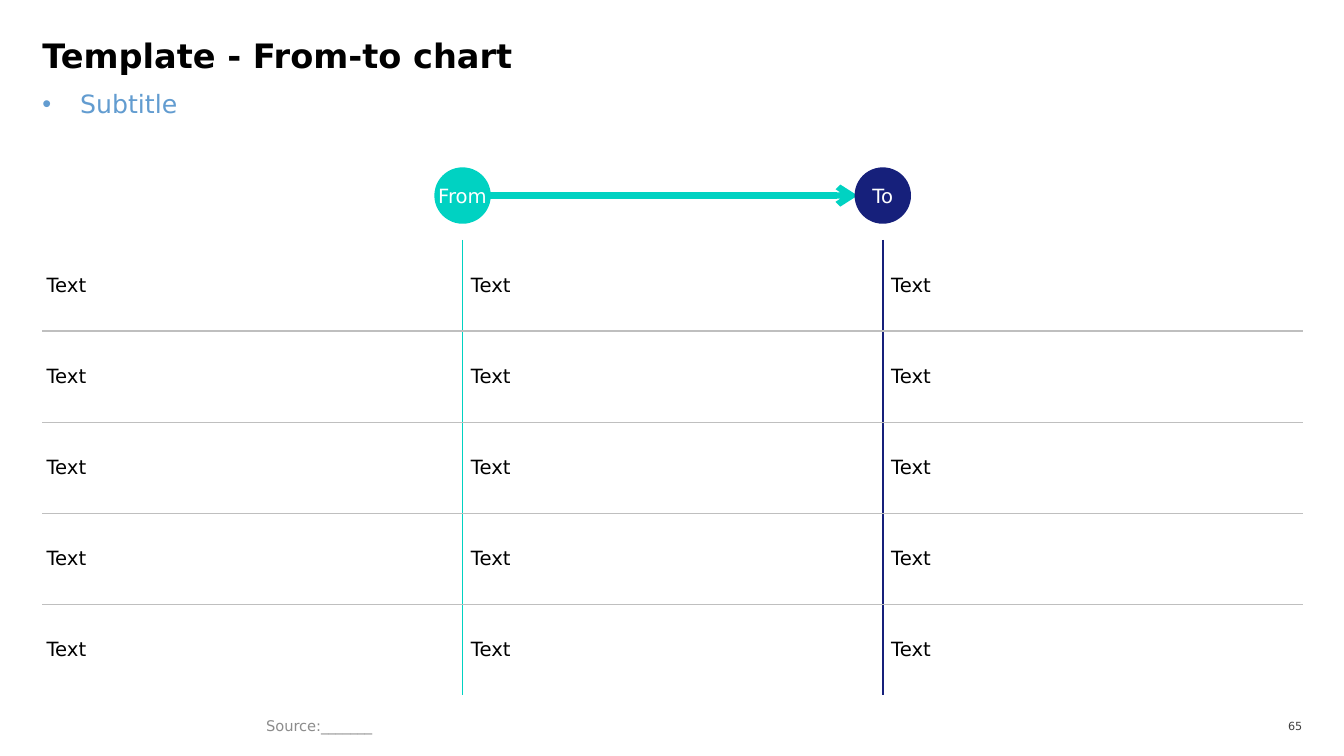
from lxml import etree
from pptx import Presentation
from pptx.dml.color import RGBColor
from pptx.enum import shapes, text
from pptx.oxml import ns
from pptx.util import Pt

FONT = "DejaVu Sans"
BLACK = RGBColor(0x00, 0x00, 0x00)
WHITE = RGBColor(0xFF, 0xFF, 0xFF)
TEAL = RGBColor(0x00, 0xD2, 0xC2)
NAVY = RGBColor(0x16, 0x20, 0x7B)
SKY = RGBColor(0x62, 0x9C, 0xD0)
RULE_GREY = RGBColor(0xBF, 0xBF, 0xBF)
SOURCE_GREY = RGBColor(0x8C, 0x8C, 0x8C)
NUMBER_GREY = RGBColor(0x40, 0x40, 0x40)

MARGIN, CONTENT_WIDTH = 30.25, 900.5
ROW_COUNT, COLUMN_COUNT = 5, 3
COLUMN_WIDTH = CONTENT_WIDTH / COLUMN_COUNT


def add_child(parent, tag, **attributes):
    return etree.SubElement(parent, ns.qn(tag), attributes)


def write(frame, words, size, color, bold=False, align=text.PP_ALIGN.LEFT,
          anchor=text.MSO_ANCHOR.MIDDLE, insets=(0, 0, 0, 0)):
    """Fill a text frame with one formatted paragraph and return it."""
    frame.text = words
    frame.vertical_anchor = anchor
    (frame.margin_left, frame.margin_top,
     frame.margin_right, frame.margin_bottom) = map(Pt, insets)
    paragraph = frame.paragraphs[0]
    paragraph.alignment = align
    font = paragraph.runs[0].font
    font.name, font.size, font.bold = FONT, Pt(size), bold
    font.color.rgb = color
    return paragraph


def place(shape, left, top, width, height):
    shape.left, shape.top = Pt(left), Pt(top)
    shape.width, shape.height = Pt(width), Pt(height)


def add_heading(slide, left, top, width):
    title, subtitle = slide.shapes.title, slide.placeholders[1]
    place(title, left, top, width, 38)
    place(subtitle, left, top + 33, width, 45.5)
    paragraph = write(title.text_frame, "Template - From-to chart", 24, BLACK,
                      bold=True, anchor=text.MSO_ANCHOR.TOP)
    paragraph.line_spacing = 0.8

    subtitle.text_frame.text = "Subtitle"
    properties = subtitle.text_frame.paragraphs[0]._p.get_or_add_pPr()
    properties.set("marL", "0")
    properties.set("indent", "0")
    add_child(properties, "a:buNone")
    paragraph = write(subtitle.text_frame, "Subtitle", 18, SKY,
                      anchor=text.MSO_ANCHOR.TOP)
    paragraph.space_before, paragraph.space_after = Pt(0), Pt(12)
    for shape in (title, subtitle):
        shape.text_frame.auto_size = text.MSO_AUTO_SIZE.NONE


def set_border(cell, side, color, width):
    """Draw one side (L, R, T or B) of a cell; a color of None hides it."""
    line = add_child(cell._tc.get_or_add_tcPr(), f"a:ln{side}",
                     w=str(int(Pt(width))))
    if color is None:
        add_child(line, "a:noFill")
    else:
        add_child(add_child(line, "a:solidFill"), "a:srgbClr", val=str(color))


def add_comparison_table(slide, left, top, width, height):
    table = slide.shapes.add_table(ROW_COUNT, COLUMN_COUNT, Pt(left), Pt(top),
                                   Pt(width), Pt(height)).table
    table.first_row = table.horz_banding = False
    for column in table.columns:
        column.width = Pt(width / COLUMN_COUNT)
    column_rules = [None, TEAL, NAVY, None]
    row_rules = [None] + [RULE_GREY] * (ROW_COUNT - 1) + [None]
    for row_index, row in enumerate(table.rows):
        row.height = Pt(height / ROW_COUNT)
        for column_index, cell in enumerate(row.cells):
            left_inset = 6 if column_index else 3
            write(cell.text_frame, "Text", 14, BLACK)
            cell.vertical_anchor = text.MSO_ANCHOR.MIDDLE
            cell.margin_left = Pt(left_inset)
            cell.margin_top = cell.margin_right = cell.margin_bottom = Pt(3)
            set_border(cell, "L", column_rules[column_index], 1.5)
            set_border(cell, "R", column_rules[column_index + 1], 1.5)
            set_border(cell, "T", row_rules[row_index], 1)
            set_border(cell, "B", row_rules[row_index + 1], 1)
            cell.fill.background()


def add_arrow(slide, start, end, y):
    arrow = slide.shapes.add_connector(shapes.MSO_CONNECTOR.STRAIGHT,
                                       Pt(start), Pt(y), Pt(end), Pt(y))
    arrow.line.color.rgb = TEAL
    arrow.line.width = Pt(4.5)
    add_child(arrow.line._get_or_add_ln(), "a:tailEnd", type="arrow")
    add_child(arrow._element.spPr, "a:effectLst")


def add_marker(slide, label, color, center_x, center_y, diameter):
    marker = slide.shapes.add_shape(
        shapes.MSO_SHAPE.OVAL, Pt(center_x - diameter / 2),
        Pt(center_y - diameter / 2), Pt(diameter), Pt(diameter))
    marker.shadow.inherit = False
    marker.fill.solid()
    marker.fill.fore_color.rgb = color
    marker.line.fill.background()
    marker.text_frame.word_wrap = False
    write(marker.text_frame, label, 14, WHITE, align=text.PP_ALIGN.CENTER)


def add_from_to_header(slide, left, center_y, column_width):
    """Centre a marker on each column boundary and join them by an arrow."""
    from_x, to_x = left + column_width, left + 2 * column_width
    add_arrow(slide, from_x + 18, to_x - 18, center_y)
    add_marker(slide, "From", TEAL, from_x, center_y, 40.3)
    add_marker(slide, "To", NAVY, to_x, center_y, 40.3)


def add_label(slide, box, words, size, color, **options):
    label = slide.shapes.add_textbox(*map(Pt, box))
    label.text_frame.word_wrap = True
    write(label.text_frame, words, size, color, **options)


def add_footer(slide, top):
    add_label(slide, (183, top, 460, 18.7), "Source:_______", 10.5,
              SOURCE_GREY, insets=(7.2, 3.6, 7.2, 3.6))
    add_label(slide, (900, top + 1.5, 30.25, 16.5), "65", 8, NUMBER_GREY,
              align=text.PP_ALIGN.RIGHT)


def main():
    presentation = Presentation()
    presentation.slide_width, presentation.slide_height = Pt(960), Pt(540)
    slide = presentation.slides.add_slide(presentation.slide_layouts[1])
    add_heading(slide, MARGIN, 30.25, 899.25)
    add_comparison_table(slide, MARGIN, 171.4, CONTENT_WIDTH, 325.4)
    add_from_to_header(slide, MARGIN, 139.7, COLUMN_WIDTH)
    add_footer(slide, 509)
    presentation.save("out.pptx")


if __name__ == "__main__":
    main()
